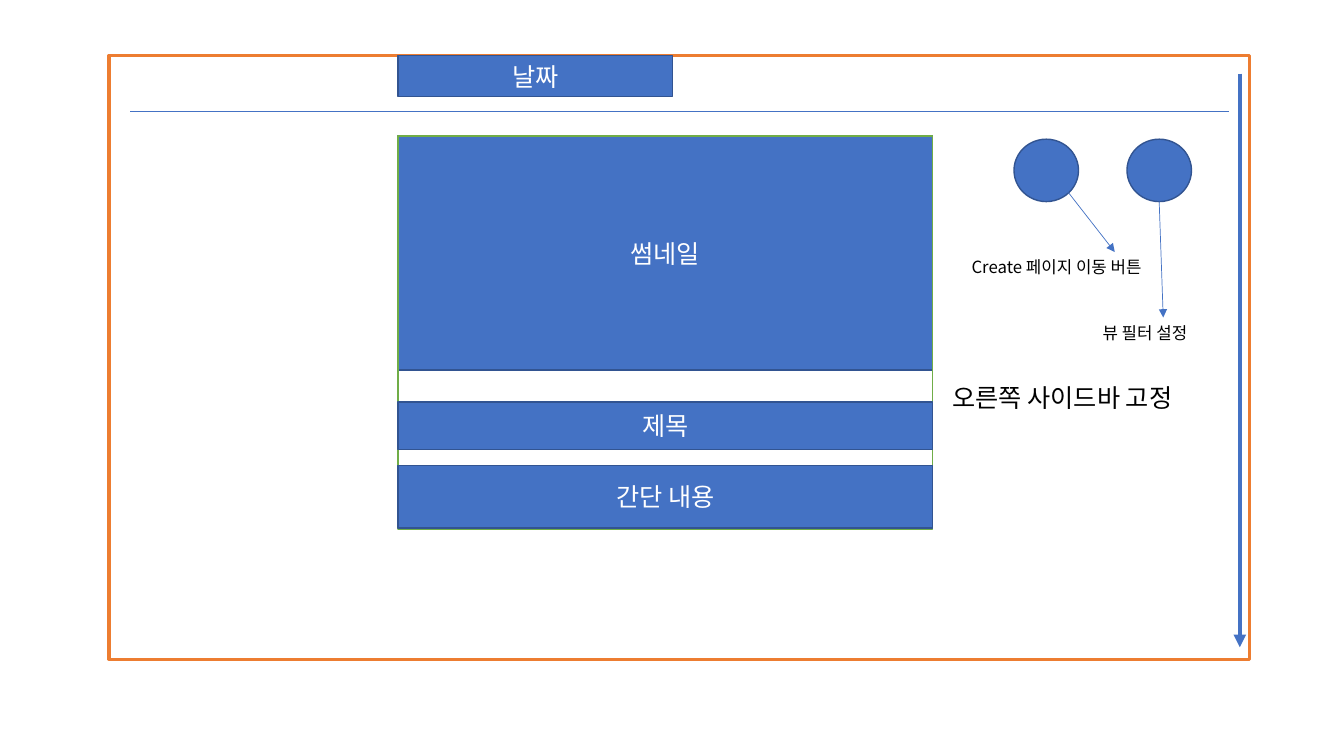
from dataclasses import dataclass

from lxml import etree
from pptx import Presentation
from pptx.dml.color import RGBColor
from pptx.enum.shapes import MSO_CONNECTOR, MSO_SHAPE
from pptx.enum.text import MSO_ANCHOR, MSO_AUTO_SIZE, PP_ALIGN
from pptx.oxml.ns import qn
from pptx.util import Pt

RECT, OVAL = MSO_SHAPE.RECTANGLE, MSO_SHAPE.OVAL
LINE = MSO_CONNECTOR.STRAIGHT
MIDDLE, TOP = MSO_ANCHOR.MIDDLE, MSO_ANCHOR.TOP
CENTER, LEFT = PP_ALIGN.CENTER, PP_ALIGN.LEFT
GROW = MSO_AUTO_SIZE.SHAPE_TO_FIT_TEXT


@dataclass(frozen=True)
class Theme:
    font: str = "Noto Sans CJK KR"
    blue: str = "4472C4"
    navy: str = "325491"
    orange: str = "ED7D31"
    green: str = "70AD47"
    white: str = "FFFFFF"
    black: str = "000000"
    large: float = 18
    small: float = 12


THEME = Theme()


def color(code):
    return RGBColor.from_string(code)


def assign(target, values):
    for name, value in values.items():
        setattr(target, name, value)


def write(shape, text, size, ink, align=CENTER, anchor=MIDDLE):
    frame = shape.text_frame
    assign(frame, {"word_wrap": True, "vertical_anchor": anchor})
    para = frame.paragraphs[0]
    para.alignment = align
    run = para.add_run()
    run.text = text
    assign(run.font, {"name": THEME.font, "size": Pt(size)})
    run.font.color.rgb = color(ink)
    # Korean letters take the East Asian font
    east = etree.SubElement(run.font._element, qn("a:ea"))
    east.set("typeface", THEME.font)


def block(host, box, text="", kind=RECT, fill=THEME.blue,
          edge=THEME.navy, width=1):
    shape = host.add_shape(kind, *map(Pt, box))
    shape.shadow.inherit = False
    if fill:
        shape.fill.solid()
        shape.fill.fore_color.rgb = color(fill)
    else:
        shape.fill.background()
    shape.line.color.rgb = color(edge)
    shape.line.width = Pt(width)
    if text:
        write(shape, text, THEME.large, THEME.white)


def label(host, box, text, size):
    shape = host.add_textbox(*map(Pt, box))
    write(shape, text, size, THEME.black, LEFT, TOP)
    shape.text_frame.auto_size = GROW


def stroke(host, start, end, width=0.5, arrow=True):
    line = host.add_connector(LINE, *map(Pt, (*start, *end)))
    line.line.color.rgb = color(THEME.blue)
    line.line.width = Pt(width)
    if arrow:
        tail = etree.SubElement(line.line._get_or_add_ln(), qn("a:tailEnd"))
        tail.set("type", "triangle")
    etree.SubElement(line._element.spPr, qn("a:effectLst"))


def page(host, box):
    """Page outline and scroll arrow."""
    x, y, w, h = box
    block(host, box, fill=THEME.white, edge=THEME.orange, width=2.25)
    scroll = x + w - 7.2
    stroke(host, (scroll, y + 13), (scroll, y + h - 8.6), 3)


def header(host, box):
    """Date tab above a thin rule."""
    x, y, w, h = box
    block(host, (x + 191.5, y, 195.8, 29.5), "날짜")
    stroke(host, (x, y + h), (x + w, y + h), arrow=False)


def card(host, box):
    """Post card: thumbnail, title and summary."""
    x, y, w, h = box
    group = host.add_group_shape().shapes
    block(group, (x, y, w, 167), "썸네일")
    block(group, box, fill=None, edge=THEME.green)
    for top, high, text in ((190.1, 33.8, "제목"), (235.4, 44.6, "간단 내용")):
        block(host, (x, y + top, w, high), text)


def sidebar(host, box):
    """Round buttons with callouts, and the note below."""
    x, y, w, h = box
    # circle left, arrow start, arrow end, label left, label width, text
    buttons = (
        (51.1, (90, 38.2), (123.1, 80.6), 13.7, 218.2, "Create 페이지 이동 버튼"),
        (131.8, (154.8, 44.6), (157.7, 127.4), 107.3, 100.8, "뷰 필터 설정"),
    )
    for left, start, end, side, wide, text in buttons:
        group = host.add_group_shape().shapes
        block(group, (x + left, y, 46.1, 44.6), kind=OVAL)
        stroke(group, (x + start[0], y + start[1]), (x + end[0], y + end[1]))
        label(group, (x + side, y + end[1], wide, 21.6), text, THEME.small)
    label(host, (x, y + h - 28.8, w, 28.8), "오른쪽 사이드바 고정", THEME.large)


def main():
    deck = Presentation()
    assign(deck, {"slide_width": Pt(960), "slide_height": Pt(540)})
    host = deck.slides.add_slide(deck.slide_layouts[6]).shapes
    page(host, (77.8, 39.6, 815, 431.3))
    header(host, (92.9, 39.6, 784.8, 39.6))
    card(host, (284.4, 97.2, 381.6, 280.8))
    sidebar(host, (673.2, 99.4, 212.4, 198.7))
    deck.save("out.pptx")


if __name__ == "__main__":
    main()
